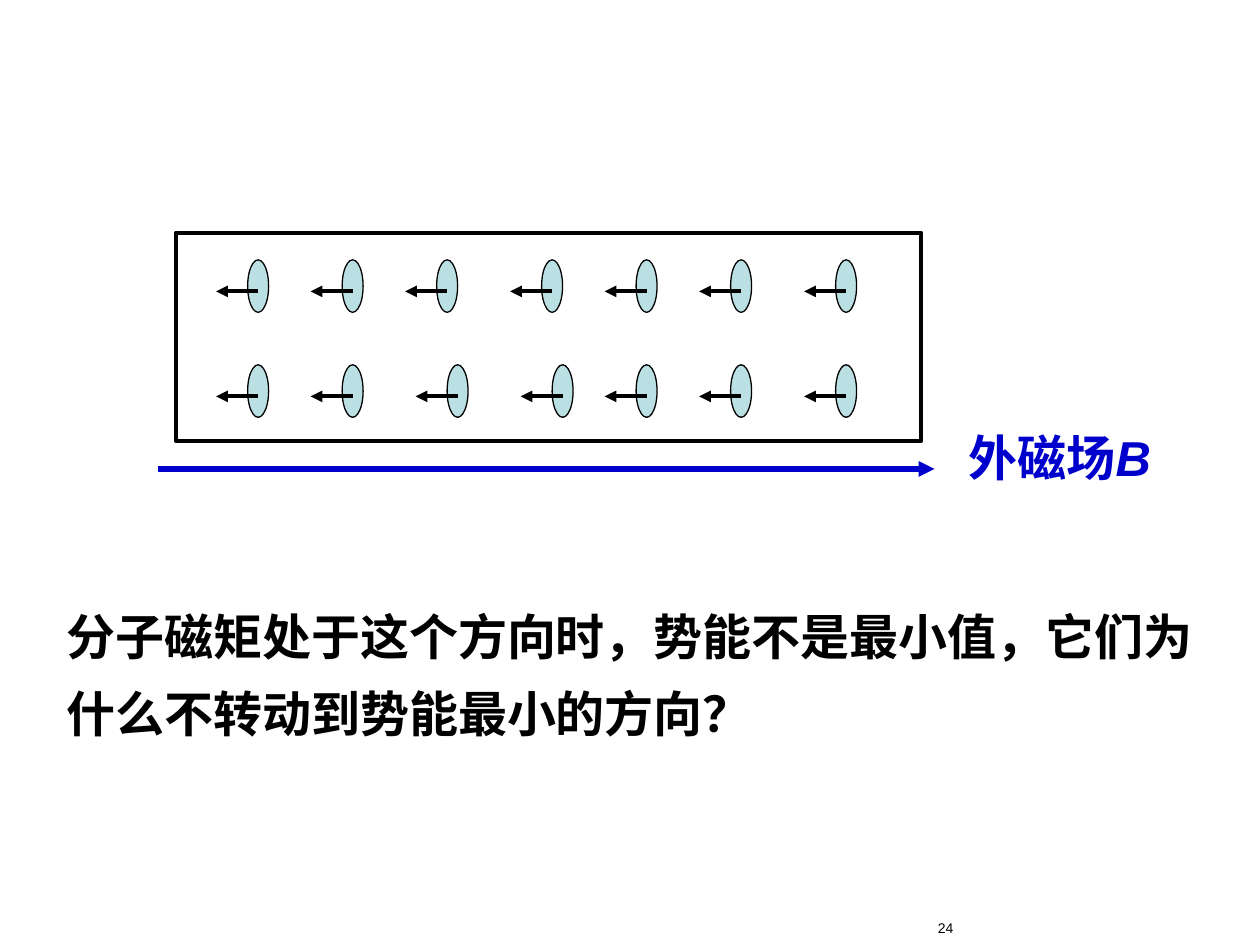
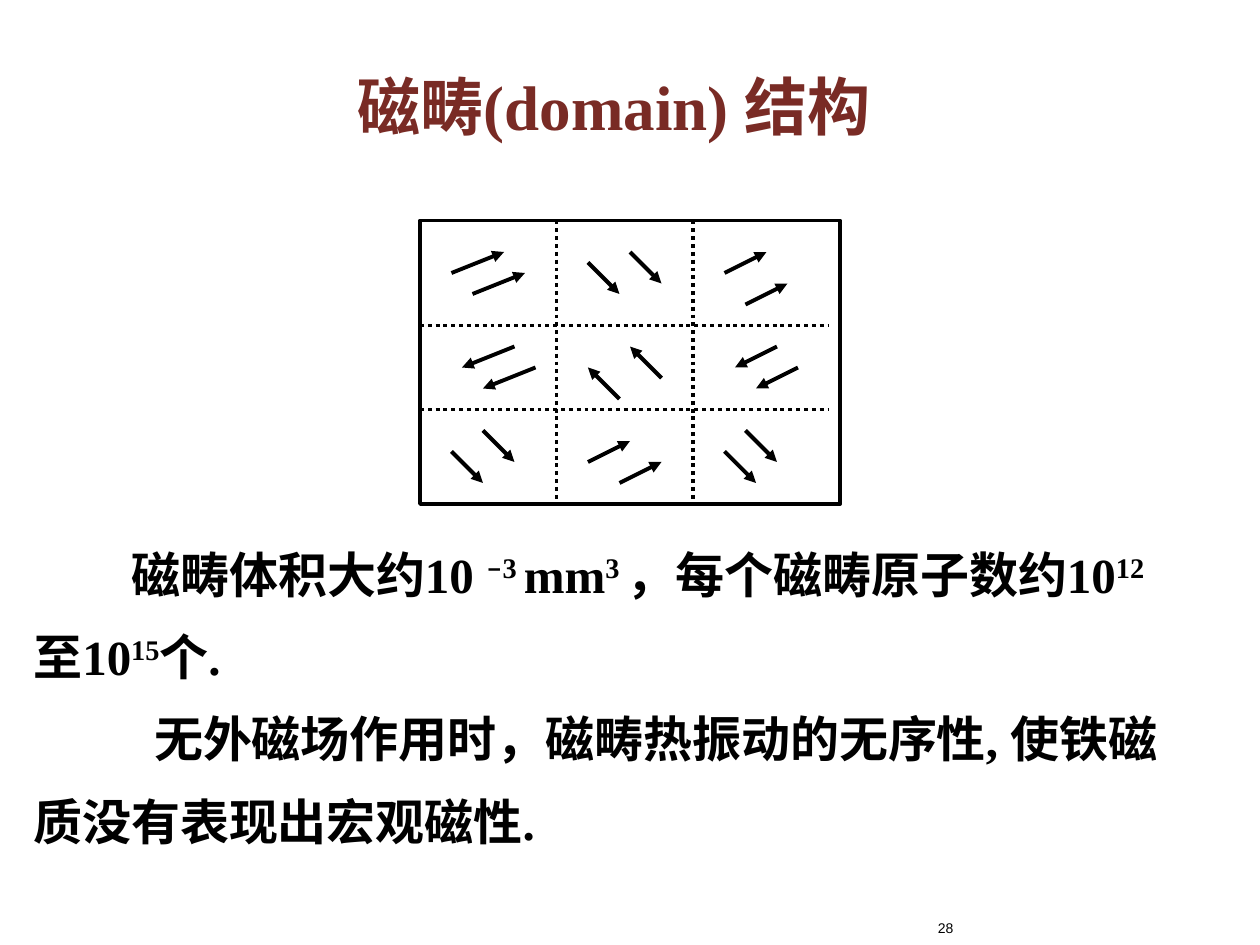
"""Two slides on magnetic moments in a field and on magnetic domains."""
from dataclasses import dataclass
from itertools import accumulate

from lxml import etree
from pptx import Presentation, util as u
from pptx.dml import color
from pptx.enum import dml, shapes, text
from pptx.oxml import ns

BLACK, BLUE, BROWN, PALE = "000000", "0000CC", "792B25", "BBE0E3"
SANS, SERIF, DASH_FONT = "Arial", "Times New Roman", "Lato"
THIN, NORMAL, THICK = 0.75, 2.25, 3


@dataclass(frozen=True)
class Box:
    """Left, top, width and height in points."""
    x: float
    y: float
    w: float
    h: float

    def lengths(self) -> list[u.Pt]:
        """Give the four values as lengths."""
        return [u.Pt(v) for v in (self.x, self.y, self.w, self.h)]


@dataclass(frozen=True)
class Run:
    """Text with its own font, slant and baseline."""
    words: str
    font: str = SERIF
    italic: bool = False
    raised: bool = False


@dataclass(frozen=True)
class Para:
    """Runs with a first-line indent in points."""
    runs: tuple[Run, ...]
    indent: float = 0


@dataclass(frozen=True)
class Style:
    """Look shared by all paragraphs of a text box."""
    size: float
    colour: str = BLACK
    bold: bool = True
    align: text.PP_ALIGN = text.PP_ALIGN.LEFT
    anchor: text.MSO_ANCHOR = text.MSO_ANCHOR.TOP
    spacing: float = 1.0
    wrap: bool = True


@dataclass(frozen=True)
class Domain:
    """Two parallel arrows: start, direction, offset of the second."""
    x: float
    y: float
    dx: float
    dy: float
    next_x: float
    next_y: float


TITLE = Style(36, BROWN, align=text.PP_ALIGN.CENTER, anchor=text.MSO_ANCHOR.MIDDLE)
QUESTION = Style(28, spacing=1.3)
BODY = Style(28, spacing=1.4)
LABEL = Style(28, BLUE, wrap=False)
NUMBER = Style(8, bold=False, align=text.PP_ALIGN.RIGHT)
NUMBER_BOX = Box(486, 522, 66, 18)

MOMENT_X, MOMENT_Y, ROW_PITCH = 147.5, 148.5, 60
MOMENT_GAPS = ((54, 54, 60, 54, 54, 60), (54, 60, 60, 48, 54, 60))

DOMAINS = (
    Domain(258, 156, 30, -12, 12, 12),
    Domain(336, 150, 18, 18, 24, -6),
    Domain(414, 156, 24, -12, 12, 18),
    Domain(294, 198, -30, 12, 12, 12),
    Domain(378, 216, -18, -18, -24, 12),
    Domain(444, 198, -24, 12, 12, 12),
    Domain(276, 246, 18, 18, -18, 12),
    Domain(336, 264, 24, -12, 18, 12),
    Domain(426, 246, 18, 18, -12, 12),
)


def rgb(value: str) -> color.RGBColor:
    """Turn a hex string into a colour."""
    return color.RGBColor.from_string(value)


def add_text(s, box: Box, style: Style, *paras: Para) -> None:
    """Add a text box, run by run."""
    tf = s.shapes.add_textbox(*box.lengths()).text_frame
    tf.word_wrap = style.wrap
    if not style.wrap:
        tf.auto_size = text.MSO_AUTO_SIZE.SHAPE_TO_FIT_TEXT
    tf.vertical_anchor = style.anchor
    for i, para in enumerate(paras):
        p = tf.add_paragraph() if i else tf.paragraphs[0]
        p.alignment = style.align
        p.line_spacing = style.spacing
        if para.indent:
            p._p.get_or_add_pPr().set("indent", str(u.Pt(para.indent)))
        for run in para.runs:
            r = p.add_run()
            r.text = run.words
            r.font.name = run.font
            r.font.size = u.Pt(style.size)
            r.font.bold = style.bold
            r.font.italic = run.italic
            r.font.color.rgb = rgb(style.colour)
            if run.raised:
                r._r.get_or_add_rPr().set("baseline", "30000")


def add_outline(s, kind: shapes.MSO_SHAPE, box: Box, width: float, fill: str | None = None) -> None:
    """Add a black-lined preset shape."""
    sp = s.shapes.add_shape(kind, *box.lengths())
    sp.shadow.inherit = False
    sp.line.color.rgb = rgb(BLACK)
    sp.line.width = u.Pt(width)
    if fill:
        sp.fill.solid()
        sp.fill.fore_color.rgb = rgb(fill)
    else:
        sp.fill.background()


def add_line(s, x1: float, y1: float, x2: float, y2: float, colour: str = BLACK,
             width: float = NORMAL, dotted: bool = False) -> None:
    """Add an arrow, or a dotted line without a head."""
    ends = [u.Pt(v) for v in (x1, y1, x2, y2)]
    sp = s.shapes.add_connector(shapes.MSO_CONNECTOR.STRAIGHT, *ends)
    sp.line.color.rgb = rgb(colour)
    sp.line.width = u.Pt(width)
    if dotted:
        sp.line.dash_style = dml.MSO_LINE.ROUND_DOT
    else:
        etree.SubElement(sp.line._get_or_add_ln(), ns.qn("a:tailEnd"), type="triangle")
    etree.SubElement(sp._element.spPr, ns.qn("a:effectLst"))


def add_slide(prs, number: int):
    """Add a blank slide with its number."""
    s = prs.slides.add_slide(prs.slide_layouts[6])
    add_text(s, NUMBER_BOX, NUMBER, Para((Run(str(number), SANS),)))
    return s


def add_moment(s, x: float, y: float) -> None:
    """Add a current loop centred on x with its moment arrow."""
    add_outline(s, shapes.MSO_SHAPE.OVAL, Box(x - 6, y, 12, 30), THIN, PALE)
    add_line(s, x, y + 18, x - 24, y + 18)


def add_domain(s, d: Domain) -> None:
    """Add the two arrows of a domain."""
    for x, y in ((d.x, d.y), (d.x + d.next_x, d.y + d.next_y)):
        add_line(s, x, y, x + d.dx, y + d.dy)


def build_moments(prs) -> None:
    """Build the slide of moments opposing the field."""
    s = add_slide(prs, 24)
    add_text(s, Box(31, 333, 663, 142), QUESTION, Para((
        Run("分子磁矩处于这个方向时，势能不是最小值，它们为什么不转动到势能最小的方向？", SANS),)))
    add_outline(s, shapes.MSO_SHAPE.RECTANGLE, Box(100.5, 133, 426, 119), NORMAL)
    add_line(s, 90, 268, 534, 268, BLUE, THICK)
    add_text(s, Box(546.5, 240.5, 125.5, 41), LABEL, Para((
        Run("外磁场", SANS), Run("B", SANS, italic=True))))
    for row, gaps in enumerate(MOMENT_GAPS):
        for x in accumulate(gaps, initial=MOMENT_X):
            add_moment(s, x, MOMENT_Y + row * ROW_PITCH)


def build_domains(prs) -> None:
    """Build the slide of domain structure."""
    s = add_slide(prs, 28)
    add_text(s, Box(6, 12, 690, 96), TITLE, Para((Run("磁畴(domain) 结构"),)))
    add_text(
        s, Box(12, 294, 666, 90), BODY,
        Para((
            Run("磁畴体积大约10 "), Run("–", DASH_FONT, raised=True), Run("3 ", raised=True),
            Run("mm"), Run("3 ", raised=True), Run("，每个磁畴原子数约10"),
            Run("12", raised=True), Run("至10"), Run("15", raised=True), Run("个."),
        ), 56),
        Para((Run("无外磁场作用时，磁畴热振动的无序性, 使铁磁质没有表现出宏观磁性."),), 69))
    add_outline(s, shapes.MSO_SHAPE.RECTANGLE, Box(240, 126, 240, 162), NORMAL)
    for y in (186, 234):
        add_line(s, 240, y, 474, y, dotted=True)
    for x in (318, 396):
        add_line(s, x, 126, x, 288, dotted=True)
    for domain in DOMAINS:
        add_domain(s, domain)


def main() -> None:
    """Build and save the slides."""
    prs = Presentation()
    prs.slide_width, prs.slide_height = u.Pt(720), u.Pt(540)
    build_moments(prs)
    build_domains(prs)
    prs.save("out.pptx")


if __name__ == "__main__":
    main()
